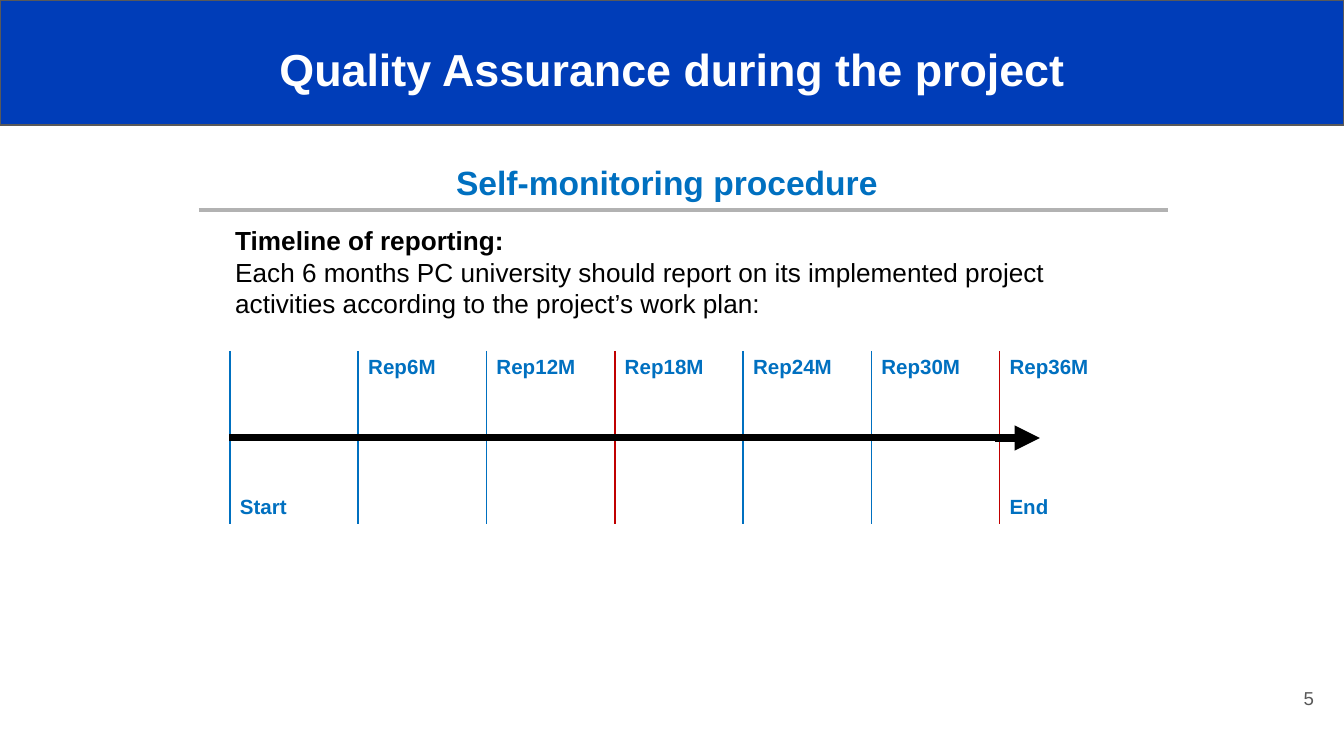
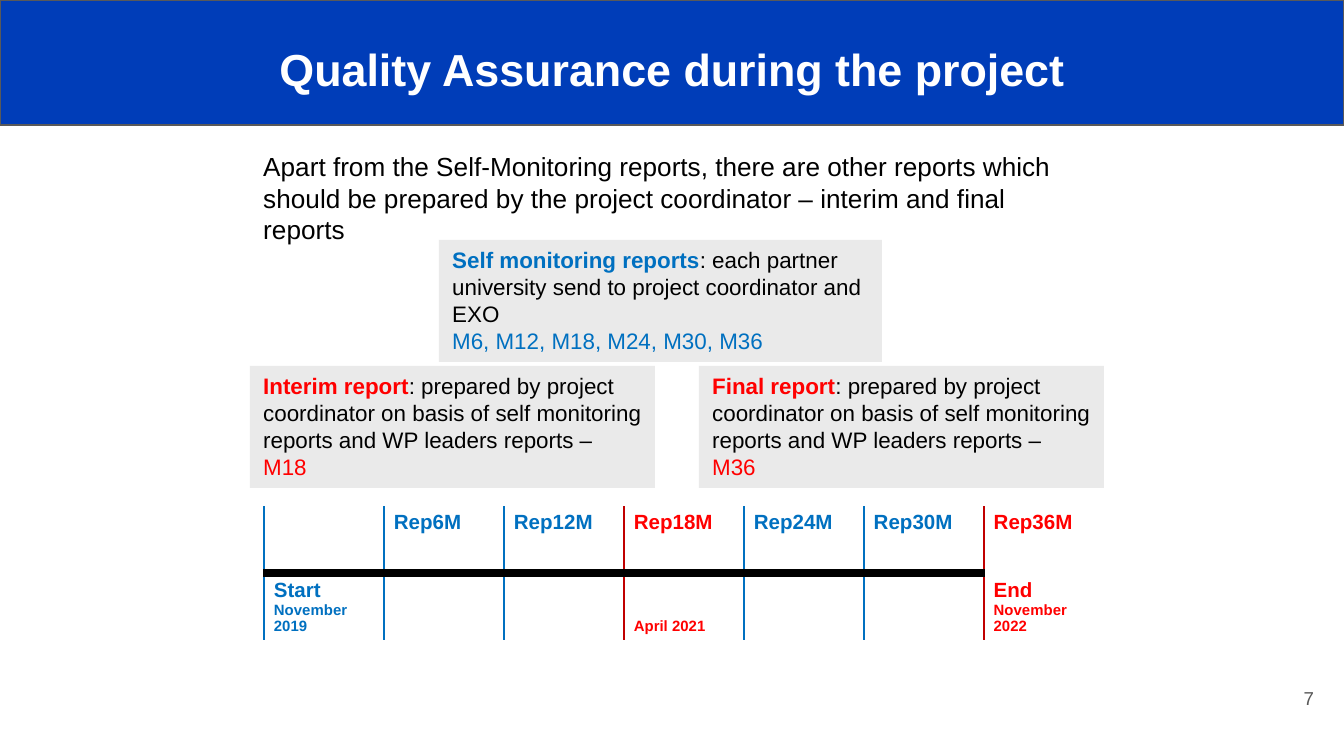
from lxml.etree import SubElement
from pptx import Presentation
from pptx.dml.color import RGBColor
from pptx.enum.shapes import MSO_CONNECTOR, MSO_SHAPE
from pptx.enum.text import MSO_ANCHOR as ANCHOR, MSO_AUTO_SIZE as AUTO_SIZE, PP_ALIGN as ALIGN
from pptx.oxml.ns import qn
from pptx.util import Pt

# Shared look
EMU_PER_PX = 6803.57
FONT = "Arial"
BAND, BAND_LINE = "003DB8", "595959"
BLUE, RED, DARK_RED = "0070C0", "FF0000", "C00000"
BLACK, WHITE, PANEL, RULE = "000000", "FFFFFF", "EAEAEA", "B2B2B2"
SLIDE_SIZE = (1344, 756)
BAND_BOX = (0, 0, 1344, 125)
TITLE_BOX = (0, 26, 1344, 83)
NUMBER_BOX = (1246, 669, 81, 58)
TITLE = "Quality Assurance during the project"
WIDE_INSETS = dict.fromkeys(
    ("margin_left", "margin_top", "margin_right", "margin_bottom"), 13)
CELL_INSETS = dict(margin_left=10, margin_top=5, margin_right=10, margin_bottom=5)

# Text: paragraphs are lists of runs (text, size, colour, bold)
HEADING = [[("Self-monitoring procedure", 18, BLUE, True)]]
TIMELINE_INTRO = [
    [("Timeline of reporting:", 14, BLACK, True)],
    [("Each 6 months PC university should report on its implemented project "
      "activities according to the project’s work plan:", 14, BLACK, False)],
]
REPORTS_INTRO = [
    [("Apart from the Self-Monitoring reports, there are other reports which "
      "should be prepared by the project coordinator – interim and final reports",
      14, BLACK, False)],
]


def coordinator_report(name, month):
    return [[
        (name, 12, RED, True),
        (": prepared by project coordinator on basis of self monitoring reports "
         "and WP leaders reports – ", 12, BLACK, False),
        (month, 12, RED, False),
    ]]


REPORT_PANELS = [
    ((439, 240, 443, 122), [
        [("Self monitoring reports", 12, BLUE, True),
         (": each partner university send to project coordinator and EXO",
          12, BLACK, False)],
        [("M6, M12, M18, M24, M30, M36", 12, BLUE, False)],
    ]),
    ((250, 366, 405, 122), coordinator_report("Interim report", "M18")),
    ((699, 366, 405, 122), coordinator_report("Final report", "M36")),
]

# Timelines: column edges, report labels, and milestones by column
EDGES = [BLUE, BLUE, BLUE, DARK_RED, BLUE, BLUE, DARK_RED]
REPORTS = ["", "Rep6M", "Rep12M", "Rep18M", "Rep24M", "Rep30M", "Rep36M"]
SELF_MONITORING = dict(
    box=(230, 351, 898, 173), red_columns=(),
    milestones={0: [("Start", 11)], 6: [("End", 11)]})
ALL_REPORTS = dict(
    box=(264, 506, 840, 134), red_columns=(3, 6),
    milestones={0: [("Start", 11), ("November 2019", 8)],
                3: [("April 2021", 8)],
                6: [("End", 11), ("November 2022", 8)]})


def px(length):
    return round(length * EMU_PER_PX)


def scaled(box):
    return [px(length) for length in box]


def color(value):
    return RGBColor.from_string(value)


def set_all(target, values):
    for name, value in values.items():
        setattr(target, name, value)


def set_insets(target, insets):
    set_all(target, {name: px(length) for name, length in insets.items()})


def write(frame, paragraphs, align=ALIGN.LEFT):
    for index, runs in enumerate(paragraphs):
        paragraph = frame.add_paragraph() if index else frame.paragraphs[0]
        paragraph.alignment = align
        for text, size, run_color, bold in runs:
            run = paragraph.add_run()
            run.text = text
            set_all(run.font, dict(name=FONT, size=Pt(size), bold=bold))
            run.font.color.rgb = color(run_color)


def add_text(slide, box, paragraphs, align=ALIGN.LEFT, wrap=True):
    frame = slide.shapes.add_textbox(*scaled(box)).text_frame
    set_all(frame, dict(word_wrap=wrap, auto_size=AUTO_SIZE.SHAPE_TO_FIT_TEXT))
    write(frame, paragraphs, align)
    return frame


def add_rectangle(slide, box, fill):
    shape = slide.shapes.add_shape(MSO_SHAPE.RECTANGLE, *scaled(box))
    shape.shadow.inherit = False
    shape.fill.solid()
    shape.fill.fore_color.rgb = color(fill)
    shape.line.fill.background()
    return shape


def add_panel(slide, box, paragraphs):
    frame = add_rectangle(slide, box, PANEL).text_frame
    set_all(frame, dict(word_wrap=True, vertical_anchor=ANCHOR.TOP))
    write(frame, paragraphs)


def add_line(slide, ends, line_color, width, arrow=False):
    connector = slide.shapes.add_connector(MSO_CONNECTOR.STRAIGHT, *scaled(ends))
    connector.line.color.rgb = color(line_color)
    connector.line.width = Pt(width)
    if arrow:
        SubElement(connector.line._get_or_add_ln(), qn("a:tailEnd"), type="triangle")
    SubElement(connector._element.spPr, qn("a:effectLst"))


def set_borders(cell, borders):
    properties = cell._tc.get_or_add_tcPr()
    for side in "LRTB":
        line_color, width = borders.get(side, (None, 0))
        line = SubElement(properties, qn(f"a:ln{side}"), w=str(Pt(width)))
        if line_color:
            fill = SubElement(line, qn("a:solidFill"))
            SubElement(fill, qn("a:srgbClr"), val=line_color)
        else:
            SubElement(line, qn("a:noFill"))


def add_timeline(slide, box, red_columns, milestones):
    count = len(REPORTS)
    table = slide.shapes.add_table(2, count, *scaled(box)).table
    set_all(table, dict(first_row=False, horz_banding=False))
    for row in table.rows:
        row.height = px(box[3] / 2)
    for column, report in enumerate(REPORTS):
        table.columns[column].width = px(box[2] / count)
        text_color = RED if column in red_columns else BLUE
        # The first milestone marks the start and stays blue
        labels = ([(report, 11)] if report else [], milestones.get(column, []))
        for row, axis_side in enumerate("BT"):
            cell = table.cell(row, column)
            borders = {"L": (EDGES[column], 1)}
            if column < count - 1:
                borders["R"] = (EDGES[column + 1], 1)
                borders[axis_side] = (BLACK, 4.5)
            set_borders(cell, borders)
            cell.fill.background()
            set_insets(cell, CELL_INSETS)
            cell.vertical_anchor = ANCHOR.BOTTOM if row else ANCHOR.TOP
            write(cell.text_frame, [[(text, size, text_color, True)]
                                    for text, size in labels[row]])


def add_slide(presentation, number):
    slide = presentation.slides.add_slide(presentation.slide_layouts[5])
    # Band goes behind the title
    band = add_rectangle(slide, BAND_BOX, BAND)
    band.line.color.rgb = color(BAND_LINE)
    band.line.width = Pt(0.75)
    title = slide.shapes.title
    title._element.addprevious(band._element)
    set_all(title, dict(zip(("left", "top", "width", "height"), scaled(TITLE_BOX))))
    frame = title.text_frame
    set_all(frame, dict(vertical_anchor=ANCHOR.BOTTOM, auto_size=AUTO_SIZE.NONE,
                        word_wrap=True))
    set_insets(frame, WIDE_INSETS)
    write(frame, [[(TITLE, 24, WHITE, True)]], ALIGN.CENTER)
    # Slide number
    frame = add_text(slide, NUMBER_BOX, [[(number, 10, BAND_LINE, False)]], ALIGN.RIGHT)
    set_all(frame, dict(vertical_anchor=ANCHOR.MIDDLE, auto_size=AUTO_SIZE.NONE))
    set_insets(frame, WIDE_INSETS)
    return slide


def main():
    presentation = Presentation()
    presentation.slide_width, presentation.slide_height = scaled(SLIDE_SIZE)

    # Self-monitoring timeline
    slide = add_slide(presentation, "5")
    add_text(slide, (436, 155, 462, 54), HEADING, ALIGN.CENTER, wrap=False)
    add_text(slide, (222, 218, 906, 172), TIMELINE_INTRO)
    add_timeline(slide, **SELF_MONITORING)
    add_line(slide, (995, 438, 1040, 438), BLACK, 4.5, arrow=True)
    add_line(slide, (199, 210, 1168, 210), RULE, 2.25)

    # Interim and final reports
    slide = add_slide(presentation, "7")
    add_timeline(slide, **ALL_REPORTS)
    for box, paragraphs in REPORT_PANELS:
        add_panel(slide, box, paragraphs)
    add_text(slide, (250, 144, 851, 109), REPORTS_INTRO)

    presentation.save("out.pptx")


if __name__ == "__main__":
    main()
